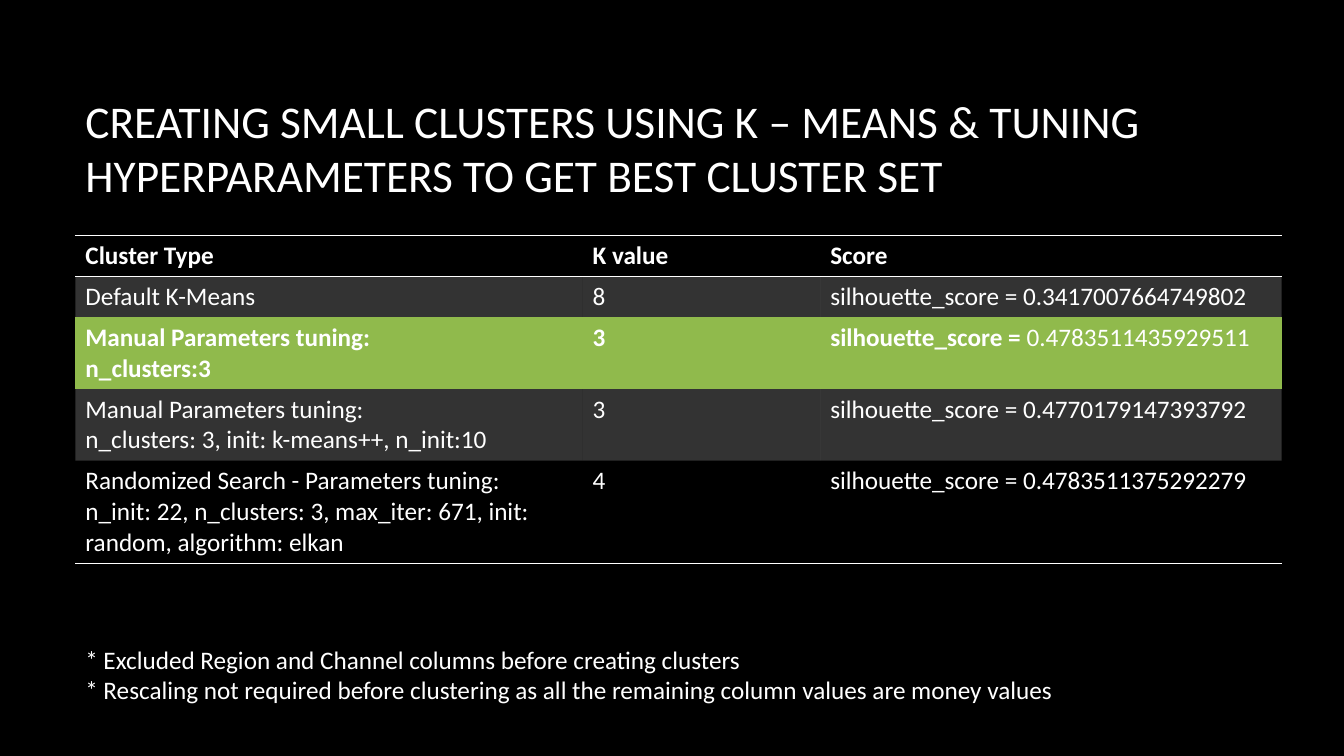
from lxml.etree import SubElement
from pptx import Presentation
from pptx.dml.color import RGBColor
from pptx.enum.text import MSO_ANCHOR, MSO_AUTO_SIZE, PP_ALIGN
from pptx.oxml import parse_xml
from pptx.oxml.ns import nsdecls, qn
from pptx.util import Cm, Pt

BLACK = RGBColor(0x00, 0x00, 0x00)
WHITE = RGBColor(0xFF, 0xFF, 0xFF)
GREEN = RGBColor(0x90, 0xBA, 0x4C)
PLAIN_STYLE = "{2D5ABB26-0587-4C30-8999-92F81FD0307C}"
LEFT = Cm(1.9)


class SlideBuilder:
    body_font = {"name": "Calibri", "size": Pt(18)}
    title_font = {"name": "Calibri", "size": Pt(32.4)}

    def __init__(self, slide):
        self.slide = slide
        fill = slide.background.fill
        fill.solid()
        fill.fore_color.rgb = BLACK

    def place(self, shape, left, top, width, height):
        box = {"left": left, "top": top, "width": width, "height": height}
        for key, value in box.items():
            setattr(shape, key, value)

    def set_text(self, frame, paragraphs, font_format):
        for index, runs in enumerate(paragraphs):
            paragraph = frame.paragraphs[0] if index == 0 else frame.add_paragraph()
            paragraph.alignment = PP_ALIGN.LEFT
            for text, bold in runs:
                run = paragraph.add_run()
                run.text = text
                for key, value in {**font_format, "bold": bold}.items():
                    setattr(run.font, key, value)
                run.font.color.rgb = WHITE

    def add_title(self, text, *box):
        title = self.slide.shapes.title
        self.place(title, *box)
        frame_format = {"word_wrap": True, "auto_size": MSO_AUTO_SIZE.NONE,
                        "vertical_anchor": MSO_ANCHOR.MIDDLE}
        for key, value in frame_format.items():
            setattr(title.text_frame, key, value)
        self.set_text(title.text_frame, [[(text, False)]], self.title_font)

    def add_text(self, lines, *box):
        frame = self.slide.shapes.add_textbox(*box).text_frame
        frame.word_wrap = True
        self.set_text(frame, cell_text(*lines), self.body_font)

    def fill_cell(self, cell, color, opacity):
        if color is None:
            cell.fill.background()
            return
        cell.fill.solid()
        cell.fill.fore_color.rgb = color
        if opacity < 100:
            color_element = cell._tc.tcPr.find(f"{qn('a:solidFill')}/{qn('a:srgbClr')}")
            SubElement(color_element, qn("a:alpha"), val=str(opacity * 1000))

    def add_borders(self, cell, sides):
        for index, side in enumerate(sides):
            border = parse_xml(
                f'<a:ln{side} {nsdecls("a")} w="{Pt(1)}"><a:solidFill>'
                f'<a:srgbClr val="{WHITE}"/></a:solidFill></a:ln{side}>')
            cell._tc.get_or_add_tcPr().insert(index, border)

    def add_table(self, rows, column_widths, row_heights, left, top):
        table = self.slide.shapes.add_table(
            len(rows), len(column_widths), left, top,
            sum(column_widths), sum(row_heights)).table
        table.horz_banding = False
        table._tbl.tblPr.find(qn("a:tableStyleId")).text = PLAIN_STYLE
        for column, width in zip(table.columns, column_widths):
            column.width = width
        for row, height, (cells, color, opacity, sides) in zip(table.rows, row_heights, rows):
            row.height = height
            for cell, paragraphs in zip(row.cells, cells):
                self.set_text(cell.text_frame, paragraphs, self.body_font)
                self.fill_cell(cell, color, opacity)
                self.add_borders(cell, sides)


def cell_text(*lines, bold=False):
    return [[(line, bold)] for line in lines]


def result(cluster_lines, k_value, score, bold=False):
    return [cell_text(*cluster_lines, bold=bold), cell_text(k_value, bold=bold),
            [[("silhouette_score = ", bold), (score, False)]]]


presentation = Presentation()
presentation.slide_width = Cm(33.87)
presentation.slide_height = Cm(19.05)
builder = SlideBuilder(presentation.slides.add_slide(presentation.slide_layouts[5]))

builder.add_title(
    "CREATING SMALL CLUSTERS USING K – MEANS & TUNING "
    "HYPERPARAMETERS TO GET BEST CLUSTER SET",
    LEFT, Cm(1.7), Cm(28.15), Cm(4.04))

header = [cell_text(text, bold=True) for text in ("Cluster Type", "K value", "Score")]
default = result(["Default K-Means"], "8", "0.3417007664749802")
best = result(["Manual Parameters tuning:", "n_clusters:3"], "3", "0.4783511435929511", bold=True)
manual = result(
    ["Manual Parameters tuning:", "n_clusters: 3,\u00a0init: k-means++,\u00a0n_init:10"],
    "3", "0.4770179147393792")
randomized = result(
    ["Randomized Search - Parameters tuning:",
     "n_init: 22, n_clusters: 3, max_iter: 671, init: random, algorithm: elkan"],
    "4", "0.4783511375292279")
table_rows = [
    (header, None, 100, "TB"),
    (default, WHITE, 20, ""),
    (best, GREEN, 100, ""),
    (manual, WHITE, 20, ""),
    (randomized, None, 100, "B"),
]
builder.add_table(
    table_rows,
    [Cm(width) for width in (12.78, 5.99, 11.63)],
    [Cm(0.26 + 0.77 * lines) for lines in (1, 1, 2, 2, 3)],
    LEFT, Cm(5.94))

builder.add_text(
    ["* Excluded Region and Channel columns before creating clusters",
     "* Rescaling not required before clustering as all the remaining column values are money values"],
    LEFT, Cm(16.1), Cm(30.07), Cm(1.8))

presentation.save("out.pptx")
